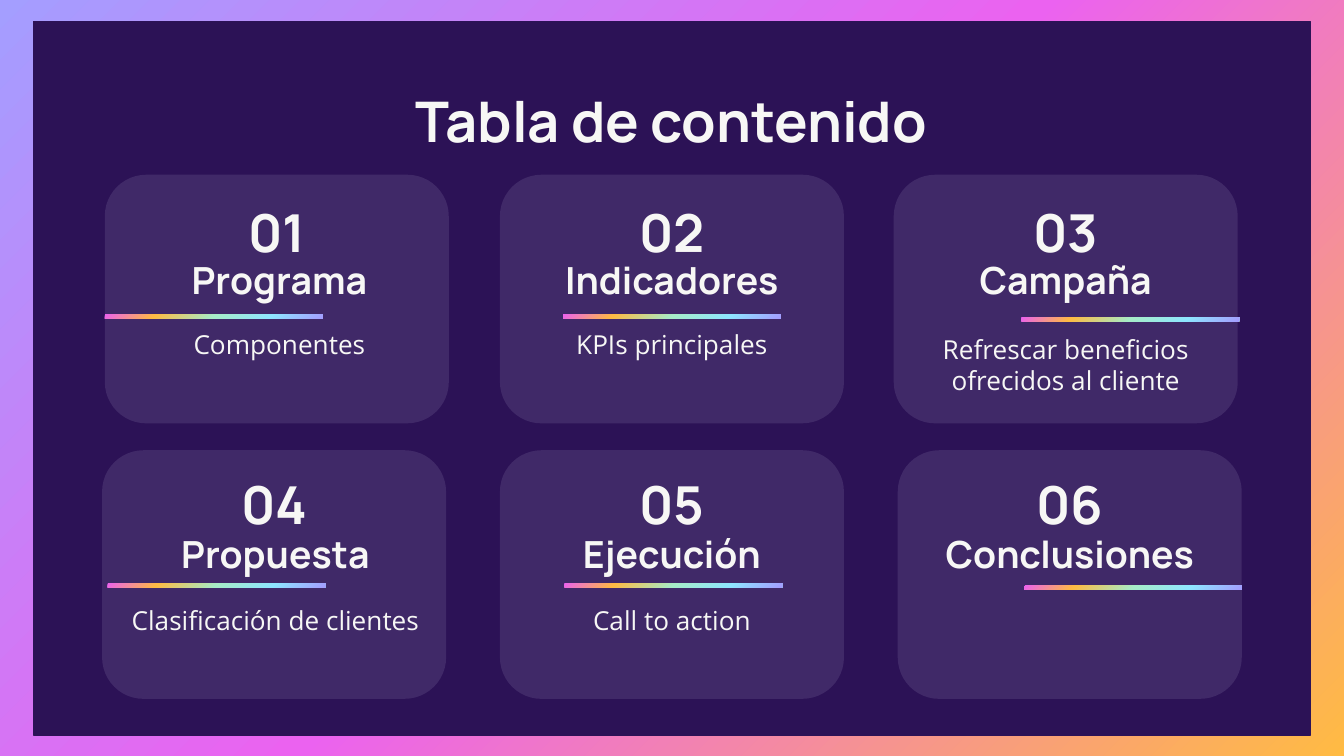
"""Build a table of contents slide with six numbered cards."""
from dataclasses import dataclass

from lxml.etree import SubElement
from pptx import Presentation
from pptx.dml.color import RGBColor
from pptx.enum.shapes import MSO_SHAPE
from pptx.enum.text import MSO_ANCHOR, PP_ALIGN
from pptx.oxml.ns import qn
from pptx.util import Inches, Pt


@dataclass(frozen=True)
class Theme:
    panel: str = "2C1256"
    card: str = "402968"
    text: str = "F7F7F5"
    backdrop: tuple = ((0, "A49EFF"), (50, "EB62F0"), (100, "FFBB43"))
    rainbow: tuple = ((0, "EB62F0"), (23, "FFBB43"), (50, "A7ECC8"),
                      (76, "8EE6FF"), (100, "A49EFF"))
    heading_font: str = "Manrope"
    body_font: str = "Open Sans"
    title_size: int = 30
    number_size: int = 28
    heading_size: int = 20
    detail_size: int = 14


@dataclass(frozen=True)
class Row:
    card: float
    number: float
    heading: float
    detail: float
    bar: float


@dataclass(frozen=True)
class Topic:
    heading: str
    detail: str
    row: Row
    left: float
    text_left: float
    bar_left: float
    drop: float = 0


THEME = Theme()
CARD_WIDTH, CARD_HEIGHT = 2.56, 1.85
NUMBER_WIDTH = 1.14
UPPER = Row(card=1.3, number=1.47, heading=1.88, detail=2.34, bar=2.34)
LOWER = Row(card=3.35, number=3.5, heading=3.92, detail=4.4, bar=4.34)
TOPICS = (
    Topic("Programa", "Componentes", UPPER, 0.78, 0.8, 0.78),
    Topic("Indicadores", "KPIs principales", UPPER, 3.72, 3.72, 4.19),
    Topic("Campaña", "Refrescar beneficios ofrecidos al cliente", UPPER,
          6.65, 6.65, 7.6, 0.02),
    Topic("Propuesta", "Clasificación de clientes", LOWER, 0.76, 0.77, 0.8),
    Topic("Ejecución", "Call to action", LOWER, 3.72, 3.72, 4.2),
    Topic("Conclusiones", "", LOWER, 6.68, 6.68, 7.62, 0.02),
)


def set_gradient(fill, element, stops):
    """Fill diagonally, from the top left, through all the given stops."""
    fill.gradient()
    fill.gradient_angle = 315
    stop_list = element.find(".//" + qn("a:gsLst"))
    for old_stop in list(stop_list):
        stop_list.remove(old_stop)
    for percent, color in stops:
        stop = SubElement(stop_list, qn("a:gs"), pos=str(percent * 1000))
        SubElement(stop, qn("a:srgbClr"), val=color)


def add_block(slide, preset, left, top, width, height):
    """Add a preset shape without shadow or outline."""
    block = slide.shapes.add_shape(
        preset, Inches(left), Inches(top), Inches(width), Inches(height))
    block.shadow.inherit = False
    block.line.fill.background()
    return block


def add_panel(slide):
    """Add the dark panel that leaves the backdrop as a frame."""
    panel = add_block(slide, MSO_SHAPE.RECTANGLE, 0.25, 0.16, 9.5, 5.31)
    panel.fill.solid()
    panel.fill.fore_color.rgb = RGBColor.from_string(THEME.panel)
    panel.line.color.rgb = RGBColor.from_string(THEME.panel)
    panel.line.width = Pt(0.75)


def add_card(slide, left, top):
    """Add one rounded card."""
    card = add_block(slide, MSO_SHAPE.ROUNDED_RECTANGLE,
                     left, top, CARD_WIDTH, CARD_HEIGHT)
    card.fill.solid()
    card.fill.fore_color.rgb = RGBColor.from_string(THEME.card)


def add_bar(slide, left, top):
    """Add the thin rainbow bar below a heading."""
    bar = add_block(slide, MSO_SHAPE.RECTANGLE, left, top, 1.62, 0.03)
    set_gradient(bar.fill, bar.element, THEME.rainbow)


def add_label(slide, words, left, top, width, height, size,
              font=THEME.heading_font, bold=True, anchor=MSO_ANCHOR.MIDDLE):
    """Add one centred piece of text."""
    label = slide.shapes.add_textbox(
        Inches(left), Inches(top), Inches(width), Inches(height))
    frame = label.text_frame
    frame.word_wrap = True
    frame.vertical_anchor = anchor
    frame.margin_left = frame.margin_right = Inches(0.1)
    frame.margin_top = frame.margin_bottom = Inches(0.1)
    frame.text = words
    paragraph = frame.paragraphs[0]
    paragraph.alignment = PP_ALIGN.CENTER
    style = paragraph.runs[0].font
    style.name = font
    style.size = Pt(size)
    style.bold = bold
    style.color.rgb = RGBColor.from_string(THEME.text)


def add_topic(slide, number, topic):
    """Add a card with its number, heading, bar and detail."""
    row = topic.row
    add_card(slide, topic.left, row.card)
    number_left = topic.left + (CARD_WIDTH - NUMBER_WIDTH) / 2
    add_label(slide, f"{number:02}", number_left, row.number,
              NUMBER_WIDTH, 0.5, THEME.number_size)
    add_label(slide, topic.heading, topic.text_left, row.heading,
              CARD_WIDTH, 0.4, THEME.heading_size)
    if topic.detail:
        add_label(slide, topic.detail, topic.text_left,
                  row.detail + 2 * topic.drop, CARD_WIDTH, 0.65,
                  THEME.detail_size, THEME.body_font, False, MSO_ANCHOR.TOP)
    add_bar(slide, topic.bar_left, row.bar + topic.drop)


def main():
    """Build and save the slide."""
    deck = Presentation()
    deck.slide_width = Inches(10)
    deck.slide_height = Inches(10 * 9 / 16)
    slide = deck.slides.add_slide(deck.slide_layouts[6])
    set_gradient(slide.background.fill, slide.element, THEME.backdrop)
    add_panel(slide)
    add_label(slide, "Tabla de contenido", 0.78, 0.58, 8.43, 0.62,
              THEME.title_size)
    for number, topic in enumerate(TOPICS, start=1):
        add_topic(slide, number, topic)
    deck.save("out.pptx")


if __name__ == "__main__":
    main()
